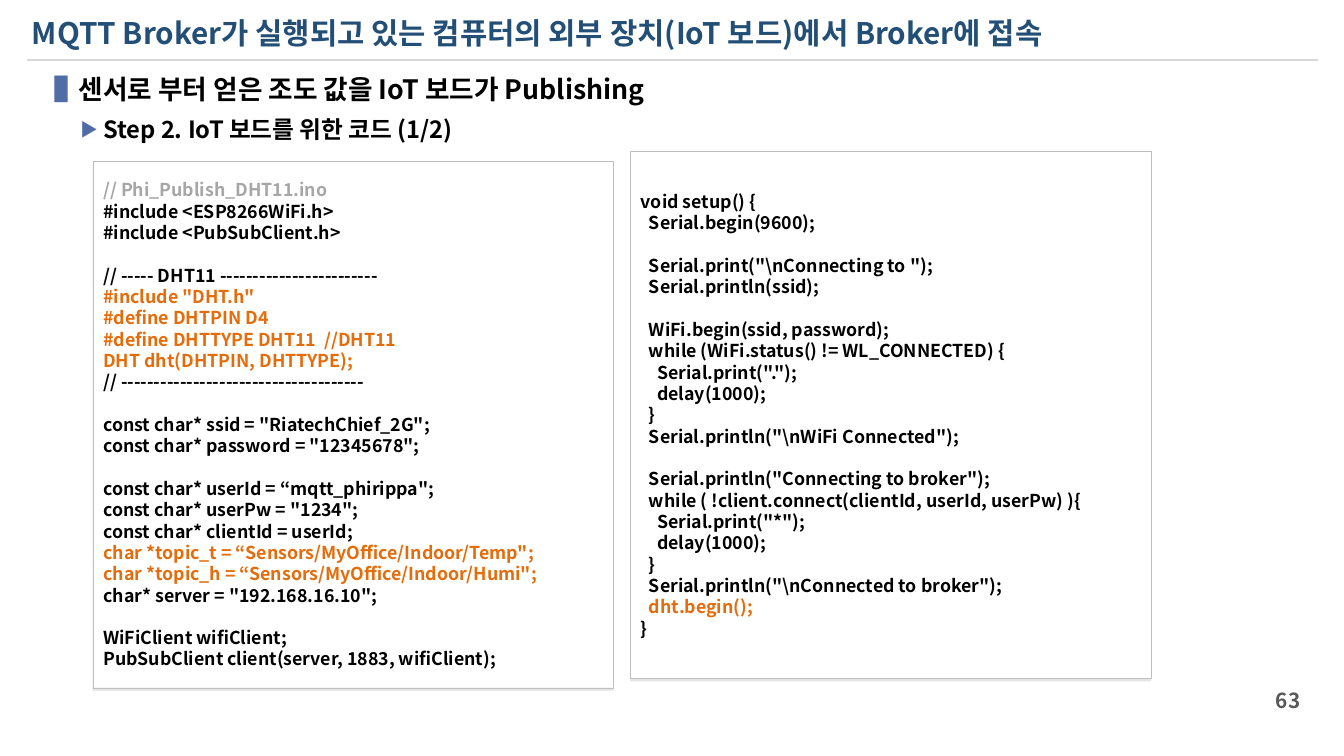
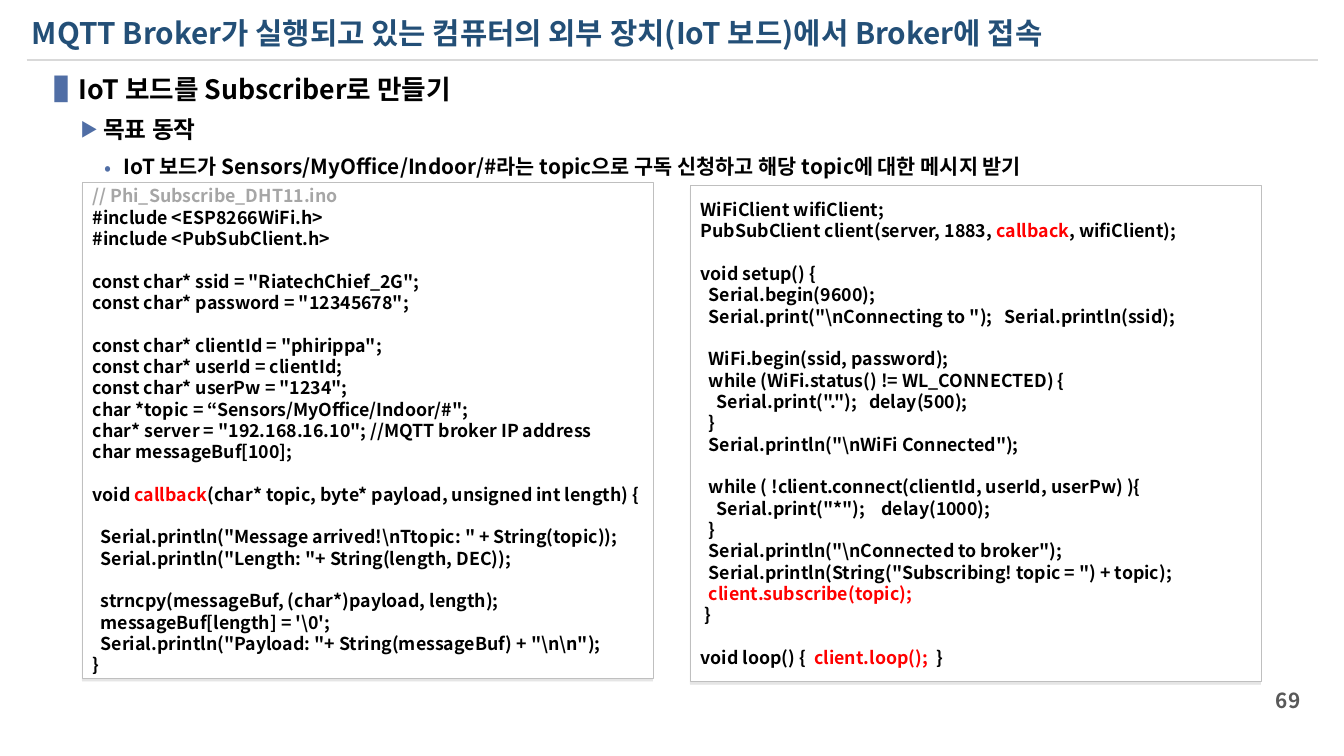
import pptx
import pptx.util
import pptx.dml.color
import pptx.enum.shapes
import pptx.enum.text
import pptx.oxml.ns
from lxml import etree

# Slide grid: 126 columns, rows of the same size
WIDTH, HEIGHT = 12.6, 7.09
COLUMN = WIDTH / 126

# Shared look
FONT = "Noto Sans CJK KR"
LINE_HEIGHT = 1.2
TITLE = "MQTT Broker가 실행되고 있는 컴퓨터의 외부 장치(IoT 보드)에서 Broker에 접속"
NAVY, BLUE, BLACK, GRAY = "234F77", "506EA5", "000000", "595959"
RULE, BORDER, WHITE, COMMENT = "D9D9D9", "BFBFBF", "FFFFFF", "A6A6A6"
ORANGE, RED = "E46C0A", "FF0000"
CODE_SIZE = 12
MARK = "§"  # switches the accent colour on and off within a code line

# Outline levels: bullet, bullet percent, text size, left margin, hanging indent
LEVELS = [("▐", 100, 18, 3.5, 3.5), ("▶", 75, 16, 5.8, 2.1), ("•", 100, 14, 7.7, 1.8)]

PUBLISH_HEAD = r'''// Phi_Publish_DHT11.ino
#include <ESP8266WiFi.h>
#include <PubSubClient.h>

// ----- DHT11 ------------------------
§#include "DHT.h"
§#define DHTPIN D4
§#define DHTTYPE DHT11  //DHT11
§DHT dht(DHTPIN, DHTTYPE);
// -------------------------------------

const char* ssid = "RiatechChief_2G";
const char* password = "12345678";

const char* userId = “mqtt_phirippa";
const char* userPw = "1234";
const char* clientId = userId;
§char *topic_t = “Sensors/MyOffice/Indoor/Temp";
§char *topic_h = “Sensors/MyOffice/Indoor/Humi";
char* server = "192.168.16.10";

WiFiClient wifiClient;
PubSubClient client(server, 1883, wifiClient);'''

PUBLISH_SETUP = r'''void setup() {
  Serial.begin(9600);

  Serial.print("\nConnecting to ");
  Serial.println(ssid);

  WiFi.begin(ssid, password);
  while (WiFi.status() != WL_CONNECTED) {
    Serial.print(".");
    delay(1000);
  }
  Serial.println("\nWiFi Connected");

  Serial.println("Connecting to broker");
  while ( !client.connect(clientId, userId, userPw) ){
    Serial.print("*");
    delay(1000);
  }
  Serial.println("\nConnected to broker");
§  dht.begin();
}'''

SUBSCRIBE_HEAD = r'''// Phi_Subscribe_DHT11.ino
#include <ESP8266WiFi.h>
#include <PubSubClient.h>

const char* ssid = "RiatechChief_2G";
const char* password = "12345678";

const char* clientId = "phirippa";
const char* userId = clientId;
const char* userPw = "1234";
char *topic = “Sensors/MyOffice/Indoor/#";
char* server = "192.168.16.10"; //MQTT broker IP address
char messageBuf[100];

void §callback§(char* topic, byte* payload, unsigned int length) {

  Serial.println("Message arrived!\nTtopic: " + String(topic));
  Serial.println("Length: "+ String(length, DEC));

  strncpy(messageBuf, (char*)payload, length);
  messageBuf[length] = '\0';
  Serial.println("Payload: "+ String(messageBuf) + "\n\n");
}'''

SUBSCRIBE_SETUP = r'''WiFiClient wifiClient;
PubSubClient client(server, 1883, §callback§, wifiClient);

void setup() {
  Serial.begin(9600);
  Serial.print("\nConnecting to ");   Serial.println(ssid);

  WiFi.begin(ssid, password);
  while (WiFi.status() != WL_CONNECTED) {
    Serial.print(".");   delay(500);
  }
  Serial.println("\nWiFi Connected");

  while ( !client.connect(clientId, userId, userPw) ){
    Serial.print("*");    delay(1000);
  }
  Serial.println("\nConnected to broker");
  Serial.println(String("Subscribing! topic = ") + topic);
  §client.subscribe(topic);
 }

void loop() {  §client.loop(); § }'''


def grid(*counts):
    return [pptx.util.Inches(count * COLUMN) for count in counts]


def color(hex_string):
    return pptx.dml.color.RGBColor.from_string(hex_string)


def add_element(parent, tag, **attributes):
    return etree.SubElement(parent, pptx.oxml.ns.qn(tag), attributes)


def format_run(run, size, hex_string):
    run.font.size = pptx.util.Pt(size)
    run.font.name = FONT
    run.font.bold = True
    run.font.color.rgb = color(hex_string)
    add_element(run.font._element, "a:ea", typeface=FONT)


def set_line_height(paragraph, size):
    paragraph.line_spacing = pptx.util.Pt(round(size * LINE_HEIGHT, 1))


def add_text_box(slide, area, anchor):
    text_frame = slide.shapes.add_textbox(*grid(*area)).text_frame
    text_frame.word_wrap = True
    text_frame.vertical_anchor = anchor
    return text_frame


def add_label(slide, area, text, size, hex_string, align):
    text_frame = add_text_box(slide, area, pptx.enum.text.MSO_ANCHOR.MIDDLE)
    text_frame.text = text
    paragraph = text_frame.paragraphs[0]
    paragraph.alignment = align
    set_line_height(paragraph, size)
    format_run(paragraph.runs[0], size, hex_string)


def add_rule(slide):
    left, right, top = grid(2.5, 123.6, 5.6)
    rule = slide.shapes.add_connector(
        pptx.enum.shapes.MSO_CONNECTOR.STRAIGHT, left, top, right, top)
    rule.line.color.rgb = color(RULE)
    rule.line.width = pptx.util.Pt(1.5)
    add_element(rule._element.spPr, "a:effectLst")


def add_outline(slide, texts):
    text_frame = add_text_box(slide, (2.9, 6.3, 122.3, 19.1),
                              pptx.enum.text.MSO_ANCHOR.TOP)
    text_frame.text = "\n".join(texts)
    for level, paragraph in enumerate(text_frame.paragraphs):
        bullet, percent, size, margin, hanging = LEVELS[level]
        properties = paragraph._p.get_or_add_pPr()
        margin, hanging = grid(margin, hanging)
        properties.set("marL", str(margin))
        properties.set("indent", str(-hanging))
        bullet_color = add_element(properties, "a:buClr")
        add_element(bullet_color, "a:srgbClr", val=BLUE)
        add_element(properties, "a:buSzPct", val=str(percent * 1000))
        add_element(properties, "a:buFont", typeface=FONT)
        add_element(properties, "a:buChar", char=bullet)
        paragraph.level = level
        set_line_height(paragraph, size)
        if level:
            paragraph.space_before = pptx.util.Pt(7)
        format_run(paragraph.runs[0], size, BLACK)


def add_shadow(shape):
    shape.shadow.inherit = False
    effects = shape._element.spPr.find(pptx.oxml.ns.qn("a:effectLst"))
    shadow = add_element(effects, "a:outerShdw", blurRad="0",
                         dist=str(pptx.util.Pt(2)), dir="5400000",
                         algn="t", rotWithShape="0")
    shade = add_element(shadow, "a:srgbClr", val=BLACK)
    add_element(shade, "a:alpha", val="10000")


def write_code_line(paragraph, line, accent):
    paragraph.alignment = pptx.enum.text.PP_ALIGN.LEFT
    set_line_height(paragraph, CODE_SIZE)
    base = COMMENT if line.startswith("// Phi_") else BLACK
    for index, part in enumerate(line.split(MARK)):
        if part:
            run = paragraph.add_run()
            run.text = part
            format_run(run, CODE_SIZE, accent if index % 2 else base)
    if not line:
        add_element(paragraph._p, "a:endParaRPr", sz=str(CODE_SIZE * 100))


def add_code_panel(slide, area, code, accent):
    panel = slide.shapes.add_shape(
        pptx.enum.shapes.MSO_SHAPE.ROUNDED_RECTANGLE, *grid(*area))
    panel.adjustments[0] = 0
    panel.fill.solid()
    panel.fill.fore_color.rgb = color(WHITE)
    panel.line.color.rgb = color(BORDER)
    panel.line.width = pptx.util.Pt(0.25)
    add_shadow(panel)
    text_frame = panel.text_frame
    text_frame.word_wrap = True
    text_frame.vertical_anchor = pptx.enum.text.MSO_ANCHOR.MIDDLE
    for index, line in enumerate(code.split("\n")):
        paragraph = text_frame.add_paragraph() if index else text_frame.paragraphs[0]
        write_code_line(paragraph, line, accent)


def add_code_pair(slide, left, tops, size, gap, codes, accent):
    width, height = size
    for index, (top, code) in enumerate(zip(tops, codes)):
        area = (left + index * (width + gap), top, width, height)
        add_code_panel(slide, area, code, accent)


def add_base_slide(presentation, number, outline):
    slide = presentation.slides.add_slide(presentation.slide_layouts[6])
    align = pptx.enum.text.PP_ALIGN
    add_rule(slide)
    add_label(slide, (2, 0.9, 118.6, 4.4), TITLE, 20, NAVY, align.LEFT)
    add_outline(slide, outline)
    add_label(slide, (113.5, 63.8, 9.4, 3.8), str(number), 14, GRAY, align.RIGHT)
    return slide


def main():
    presentation = pptx.Presentation()
    presentation.slide_width = pptx.util.Inches(WIDTH)
    presentation.slide_height = pptx.util.Inches(HEIGHT)

    # Publisher code
    slide = add_base_slide(presentation, 63, [
        "센서로 부터 얻은 조도 값을 IoT 보드가 Publishing",
        "Step 2. IoT 보드를 위한 코드 (1/2)"])
    add_code_pair(slide, 8.7, (15.1, 14.2), (48.8, 49.4), 1.6,
                  (PUBLISH_HEAD, PUBLISH_SETUP), ORANGE)

    # Subscriber code
    slide = add_base_slide(presentation, 69, [
        "IoT 보드를 Subscriber로 만들기",
        "목표 동작",
        "IoT 보드가 Sensors/MyOffice/Indoor/#라는 topic으로 구독 신청하고 "
        "해당 topic에 대한 메시지 받기"])
    add_code_pair(slide, 7.7, (17.1, 17.4), (53.5, 46.5), 3.5,
                  (SUBSCRIBE_HEAD, SUBSCRIBE_SETUP), RED)

    presentation.save("out.pptx")


if __name__ == "__main__":
    main()
